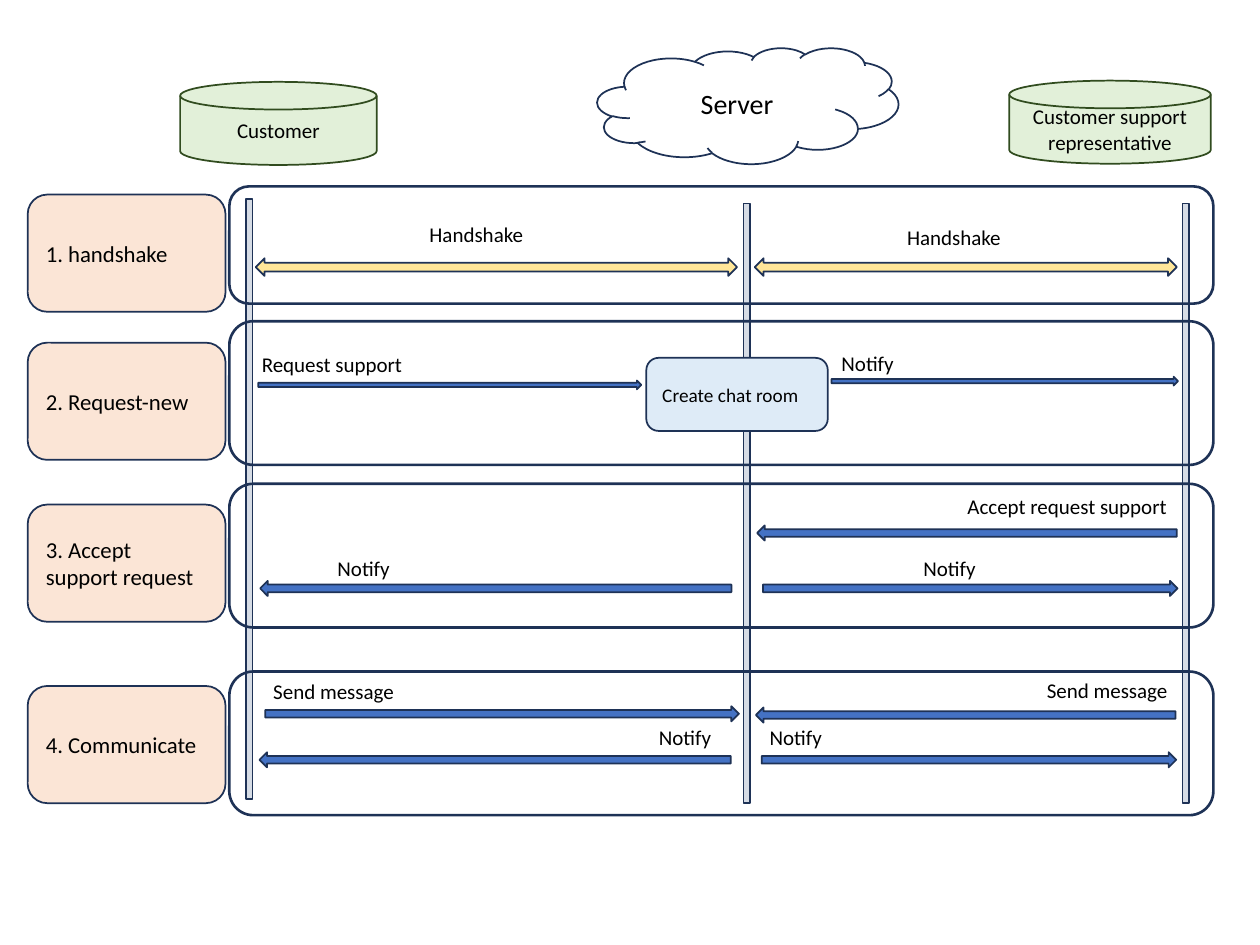
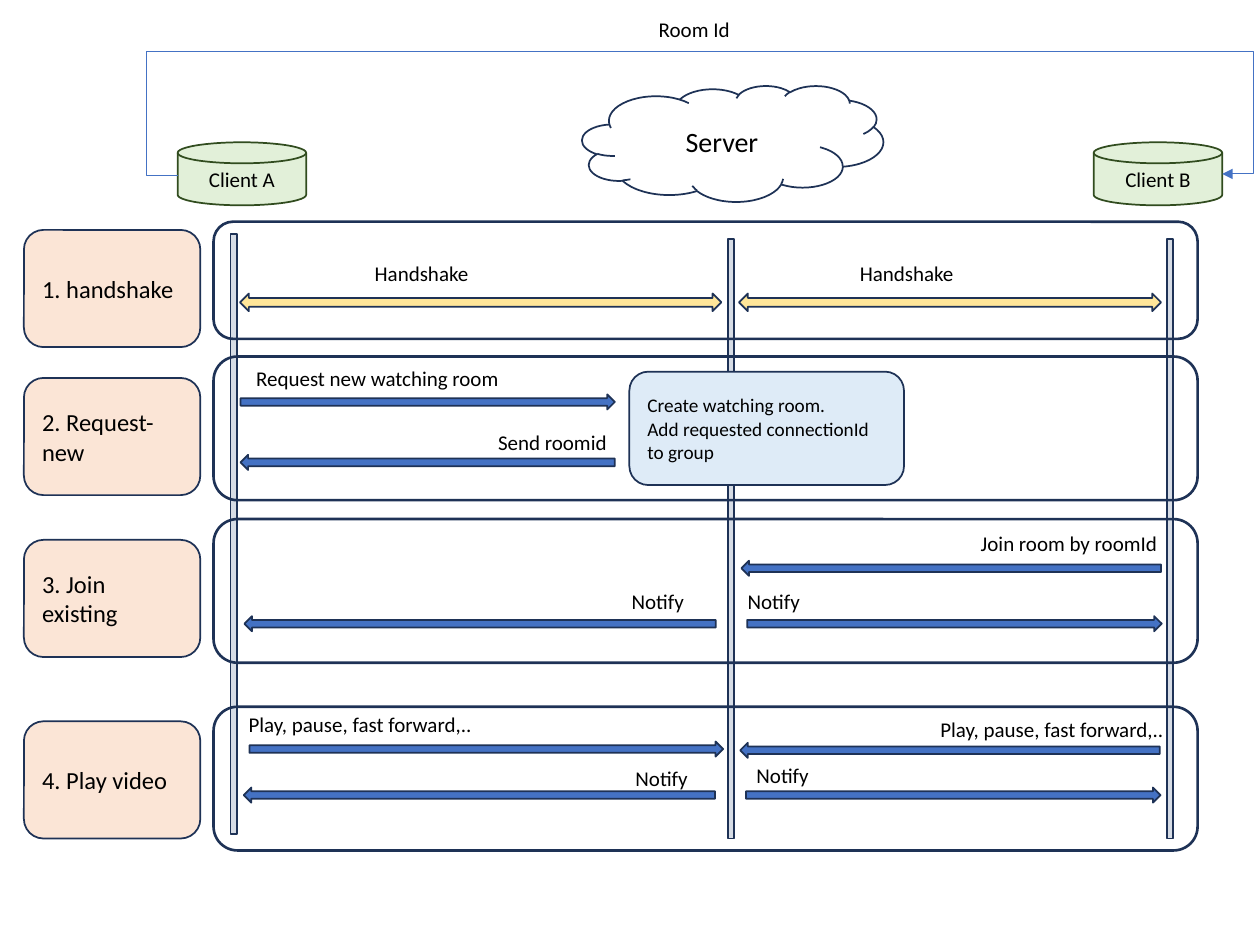
from lxml import etree
from pptx import Presentation
from pptx.dml.color import RGBColor
from pptx.enum import shapes, text
from pptx.oxml.ns import qn
from pptx import util as u

HEX = {"ink": "000000", "navy": "1E3256", "moss": "314C1F", "green": "E2F0D9",
       "gray": "D6DCE5", "gold": "FFE699", "blue": "4472C4", "sky": "DEEBF7",
       "peach": "FBE5D6"}
FONT = "Calibri"
KIND = shapes.MSO_SHAPE
ALIGN = text.PP_ALIGN
ARROW = {"both": KIND.LEFT_RIGHT_ARROW, "right": KIND.RIGHT_ARROW,
         "left": KIND.LEFT_ARROW}

deck = Presentation()
deck.slide_width, deck.slide_height = u.Inches(10), u.Inches(7.5)
COL, ROW = deck.slide_width / 100, deck.slide_height / 75

# Board rows as (top, height), in grid rows below the board's top edge
BANDS = [(0, 9.3), (10.7, 11.4), (23.6, 11.4), (38.5, 11.4)]
TAGS = [0.65, 12.4, 25.25, 39.65]
WIDE, TAG_H = 78.1, 9.3
POLES = [(1.35, 1), (40.8, 1.35), (75.65, 1.35)]
# Arrows common to both boards: direction, column, row, width
FLOWS = [("both", 2.1, 5.7, 38.2), ("both", 41.7, 5.7, 33.5),
         ("left", 41.9, 26.9, 33.3),
         ("left", 2.45, 31.3, 37.4), ("right", 42.35, 31.3, 32.9),
         ("right", 2.85, 41.25, 37.6), ("left", 41.8, 41.35, 33.3),
         ("left", 2.4, 44.9, 37.4), ("right", 42.25, 44.9, 32.9)]


def tint(name):
    """Return the named colour."""
    return RGBColor.from_string(HEX[name])


def grid(x, y, w, h):
    """Turn columns and rows into lengths."""
    return [u.Emu(round(n)) for n in (x * COL, y * ROW, w * COL, h * ROW)]


def write(shape, words, size=12, color="ink", align=ALIGN.LEFT,
          anchor=text.MSO_ANCHOR.MIDDLE):
    """Put formatted text in a shape, one paragraph a line."""
    frame = shape.text_frame
    frame.word_wrap = True
    frame.vertical_anchor = anchor
    frame.text = words
    for para in frame.paragraphs:
        para.alignment = align
        font = para.runs[0].font
        font.name, font.size = FONT, u.Pt(size)
        font.color.rgb = tint(color)


def draw(slide, kind, box, fill=None, line="navy", width=1, words="", **form):
    """Add a flat shape, with text if given."""
    shape = slide.shapes.add_shape(kind, *grid(*box))
    shape.shadow.inherit = False
    if fill:
        shape.fill.solid()
        shape.fill.fore_color.rgb = tint(fill)
    else:
        shape.fill.background()
    shape.line.color.rgb = tint(line)
    shape.line.width = u.Pt(width)
    if words:
        write(shape, words, **form)


def note(slide, words, x, y, w):
    """Add a one-line caption."""
    box = slide.shapes.add_textbox(*grid(x, y, w, 3))
    write(box, words, anchor=text.MSO_ANCHOR.TOP)


def arrow(slide, way, x, y, w, h=1.2):
    """Add a block arrow; two-way arrows are gold and a little taller."""
    fill = "gold" if way == "both" else "blue"
    draw(slide, ARROW[way], (x, y, w, 1.4 if way == "both" else h), fill)


def actors(slide, ends, cloud):
    """Draw the two end points and the server between them."""
    for words, box in ends:
        draw(slide, KIND.FLOWCHART_MAGNETIC_DISK, box, "green", "moss",
             words=words, align=ALIGN.CENTER)
    draw(slide, KIND.CLOUD, (*cloud, 23.9, 9.2), words="Server", size=16,
         align=ALIGN.CENTER)


def board(slide, x, y, flows, room, notes):
    """Draw lifelines, messages and bands from the board's top left corner."""
    for dx, dy in POLES:
        draw(slide, KIND.RECTANGLE, (x + dx, y + dy, 0.5, 47.6), "gray")
    for way, dx, dy, *size in FLOWS + flows:
        arrow(slide, way, x + dx, y + dy, *size)
    words, dx, dy, w, h = room
    draw(slide, KIND.ROUNDED_RECTANGLE, (x + dx, y + dy, w, h), "sky",
         words=words, size=11)
    for top, high in BANDS:
        draw(slide, KIND.ROUNDED_RECTANGLE, (x, y + top, WIDE, high), width=1.5)
    for words, dx, dy, w in notes:
        note(slide, words, x + dx, y + dy, w)


def steps(slide, x, y, w, names, size):
    """Stack the step labels beside the bands."""
    for count, (top, name) in enumerate(zip(TAGS, names), 1):
        draw(slide, KIND.ROUNDED_RECTANGLE, (x, y + top, w, TAG_H), "peach",
             words=f"{count}. {name}", size=size)


def loop(slide, start, end, side, top):
    """Link two points by a line that goes round above them."""
    (x, y), (x2, y2) = start, end
    left, high, right, low = grid(x, y, x2, y2)
    link = slide.shapes.add_connector(shapes.MSO_CONNECTOR.ELBOW,
                                      left, high, right, low)
    link.line.color.rgb = tint("blue")
    link.line.width = u.Pt(0.5)
    props = link._element.spPr
    frame = props.find(qn("a:xfrm"))
    frame.attrib.pop("flipV", None)
    frame.set("rot", "10800000")
    frame.set("flipH", "1")
    shape = props.find(qn("a:prstGeom"))
    shape.set("prst", "bentConnector5")
    guides = shape.find(qn("a:avLst"))
    if guides is None:
        guides = etree.SubElement(shape, qn("a:avLst"))
    out = side / (x2 - x)
    for i, part in enumerate((-out, (y - top) / (y - y2), 1 + out), 1):
        etree.SubElement(guides, qn("a:gd"), name=f"adj{i}",
                         fmla=f"val {round(part * 100000)}")
    etree.SubElement(props.find(qn("a:ln")), qn("a:tailEnd"), type="triangle")
    etree.SubElement(props, qn("a:effectLst"))


def support():
    """Build the support chat slide."""
    slide = deck.slides.add_slide(deck.slide_layouts[6])
    actors(slide, [("Customer", (14.3, 6.5, 15.6, 6.6)),
                   ("Customer support representative", (80.1, 6.4, 16, 6.6))],
           (47.4, 3.8))
    board(slide, 18.2, 14.8,
          [("right", 2.3, 15.4, 30.4, 0.7), ("right", 47.8, 15.1, 27.5, 0.7)],
          ("Create chat room", 33.1, 13.6, 14.4, 5.8),
          [("Handshake", 14.9, 2.3, 9.9), ("Handshake", 52.8, 2.5, 9.9),
           ("Request support", 1.6, 12.6, 14), ("Notify", 47.6, 12.5, 14),
           ("Accept request support", 57.6, 23.9, 18.2),
           ("Notify", 7.6, 28.8, 7.3), ("Notify", 54.1, 28.8, 17.2),
           ("Send message", 2.5, 38.6, 12.2), ("Send message", 63.9, 38.5, 13.9),
           ("Notify", 33.1, 42.2, 7.2), ("Notify", 41.9, 42.2, 7.2)])
    steps(slide, 2.2, 14.8, 15.7, ["handshake", "Request-new",
                                   "Accept support request", "Communicate"], 13)


def watch():
    """Build the shared video slide."""
    slide = deck.slides.add_slide(deck.slide_layouts[6])
    actors(slide, [("Client A", (14.1, 11.3, 10.2, 5)),
                   ("Client B", (86.8, 11.3, 10.2, 5))], (46.2, 6.8))
    loop(slide, (14.1, 13.9), (97, 13.8), 2.5, 3.9)
    note(slide, "Room Id", 51.3, 0.8, 8.3)
    board(slide, 16.95, 17.6,
          [("right", 2.15, 13.7, 29.7), ("left", 2.15, 18.5, 29.7)],
          ("Create watching room.\nAdd requested connectionId to group",
           33, 11.9, 21.8, 9),
          [("Handshake", 11.8, 2.6, 13.8), ("Handshake", 50.3, 2.6, 13.8),
           ("Request new watching room", 2.4, 10.9, 28.6),
           ("Send roomid", 21.6, 16, 11.3),
           ("Join room by roomId", 59.9, 24, 18.2),
           ("Notify", 32.2, 28.6, 7.3), ("Notify", 41.4, 28.6, 17.2),
           ("Play, pause, fast forward,..", 1.8, 38.4, 24),
           ("Play, pause, fast forward,..", 56.7, 38.8, 19.9),
           ("Notify", 32.5, 42.7, 7.3), ("Notify", 42.1, 42.4, 17.2)])
    steps(slide, 1.9, 17.6, 14, ["handshake", "Request-new", "Join existing",
                                 "Play video"], 14)


support()
watch()
deck.save("out.pptx")
